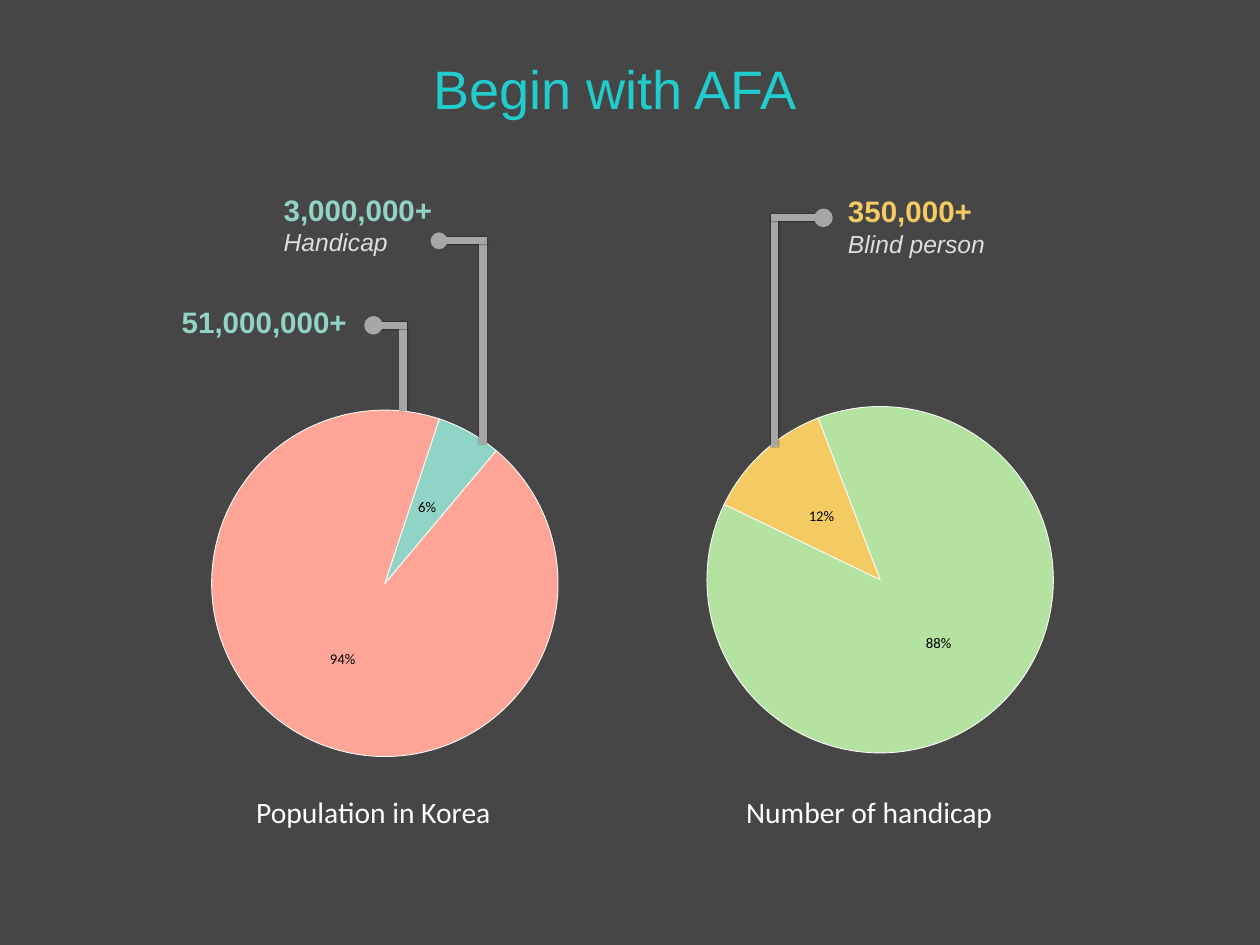
from lxml.etree import SubElement
from pptx import Presentation
from pptx.chart.data import CategoryChartData
from pptx.dml.color import RGBColor
from pptx.enum.chart import XL_CHART_TYPE, XL_LABEL_POSITION
from pptx.enum.shapes import MSO_CONNECTOR, MSO_SHAPE
from pptx.enum.text import PP_ALIGN
from pptx.oxml import parse_xml
from pptx.oxml.ns import nsdecls, qn
from pptx.util import Pt

# Content: lengths in points
SLIDE_SIZE = (1024, 768)
BACKGROUND, GREY, PIE_EDGE = "464646", "A7A7A7", "F9F9F9"
TEAL, YELLOW, PALE, WHITE = "91D3C5", "F4CB62", "DDDDDD", "FFFFFF"
PIE_SIZE, LEADER_WIDTH = 284.4, 6

# left, top, first slice angle, values, slice colours
PIES = [
    (170.6, 331.9, 40, (94, 6), ("FFA598", "90D4C5")),
    (573.1, 329, 339, (88, 12), ("B4E2A1", YELLOW)),
]
# stem x, stem bottom, arm y, dot centre x, dot diameter
LEADERS = [
    (629.3, 362.9, 177, 669.2, 15.1),
    (327.6, 334.1, 264.4, 303.5, 15.1),
    (392.4, 360.7, 195.7, 356.8, 13.7),
]
TITLE = ("Begin with AFA", 44, "Arial", "21CCCD", False, False)
HANDICAP = [("3,000,000+", 24, "Arial", TEAL, True, False),
            ("Handicap", 20, "Arial", PALE, False, True)]
BLIND = [("350,000+", 24, "Arial", YELLOW, True, False),
         ("Blind person", 20, "Arial", PALE, False, True)]
POPULATION = ("51,000,000+", 24, "Arial", TEAL, True, False)
# left, top, width, height, inset, alignment, lines
TEXTS = [
    (46.8, 39.6, 906.5, 63.4, 5, PP_ALIGN.CENTER, [TITLE]),
    (686.9, 154.8, 261.4, 56.9, 2.3, PP_ALIGN.LEFT, BLIND),
    (228.2, 153.4, 126, 56.9, 2.3, PP_ALIGN.LEFT, HANDICAP),
    (145.4, 244.8, 142, 33.1, 2.3, PP_ALIGN.LEFT, [POPULATION]),
    (205.9, 643, 214.6, 33.1, 2.3, PP_ALIGN.LEFT,
     [("Population in Korea", 24, "Calibri", WHITE, False, False)]),
    (604.1, 643, 221, 33.1, 2.3, PP_ALIGN.LEFT,
     [("Number of handicap", 24, "Calibri", WHITE, False, False)]),
]


def paint(fill, color):
    fill.solid()
    fill.fore_color.rgb = RGBColor.from_string(color)


def set_font(font, size, name, color, bold=False, italic=False):
    font.size, font.name = Pt(size), name
    font.bold, font.italic = bold, italic
    paint(font.fill, color)


def add_text(slide, left, top, width, height, inset, alignment, lines):
    box = slide.shapes.add_textbox(Pt(left), Pt(top), Pt(width), Pt(height))
    frame = box.text_frame
    frame.word_wrap = True
    frame.margin_left = frame.margin_right = Pt(inset)
    frame.margin_top = frame.margin_bottom = Pt(inset)
    frame.text = "\n".join(line[0] for line in lines)
    for paragraph, (_, *style) in zip(frame.paragraphs, lines):
        paragraph.alignment = alignment
        set_font(paragraph.font, *style)


def add_pie(slide, left, top, angle, values, colors):
    data = CategoryChartData()
    data.categories = ["1", "2"]
    data.add_series("Series 1", values)
    chart = slide.shapes.add_chart(XL_CHART_TYPE.PIE, Pt(left), Pt(top),
                                   Pt(PIE_SIZE), Pt(PIE_SIZE), data).chart
    chart.has_legend = chart.has_title = False
    set_font(chart.font, 10, "Arial", "000000")
    plot = chart.plots[0]
    plot.vary_by_categories = True

    # Slices
    for index, color in enumerate(colors):
        slice_format = plot.series[0].points[index].format
        paint(slice_format.fill, color)
        paint(slice_format.line.fill, PIE_EDGE)
        slice_format.line.width = Pt(0.75)

    # Percent labels
    labels = plot.series[0].data_labels
    labels.show_percentage, labels.show_value = True, False
    labels.number_format, labels.number_format_is_linked = "#,##0%", False
    labels.position = XL_LABEL_POSITION.CENTER
    set_font(labels.font, 12, "Calibri", "000000")

    # Start angle and plot area
    plot_area = chart.element.find(".//" + qn("c:plotArea"))
    pie = plot_area.find(qn("c:pieChart"))
    for old in pie.findall(qn("c:firstSliceAng")) + plot_area.findall(qn("c:layout")):
        old.getparent().remove(old)
    SubElement(pie, qn("c:firstSliceAng")).set("val", str(angle))
    layout = parse_xml(f"<c:layout {nsdecls('c')}><c:manualLayout/></c:layout>")
    plot_area.insert(0, layout)
    for tag, value in [("layoutTarget", "inner"), ("xMode", "edge"), ("yMode", "edge"),
                       ("x", 0.005), ("y", 0.005), ("w", 0.99), ("h", 0.99)]:
        SubElement(layout[0], qn("c:" + tag)).set("val", str(value))


def add_line(slide, *ends):
    line = slide.shapes.add_connector(MSO_CONNECTOR.STRAIGHT, *map(Pt, ends))
    paint(line.line.fill, GREY)
    line.line.width = Pt(LEADER_WIDTH)
    line.element.spPr.append(parse_xml(
        f'<a:effectLst {nsdecls("a")}><a:outerShdw blurRad="12700" dist="0" dir="5400000">'
        '<a:srgbClr val="000000"><a:alpha val="38000"/></a:srgbClr>'
        "</a:outerShdw></a:effectLst>"))


def add_leader(slide, stem_x, bottom, arm_y, dot_x, diameter):
    overlap = LEADER_WIDTH / 2 if stem_x > dot_x else -LEADER_WIDTH / 2
    add_line(slide, stem_x, bottom, stem_x, arm_y - 2)
    add_line(slide, stem_x + overlap, arm_y, dot_x, arm_y)
    dot = slide.shapes.add_shape(
        MSO_SHAPE.OVAL, Pt(dot_x - diameter / 2), Pt(arm_y - diameter / 2),
        Pt(diameter), Pt(diameter))
    dot.shadow.inherit = False
    paint(dot.fill, GREY)
    dot.line.fill.background()


def main():
    presentation = Presentation()
    presentation.slide_width, presentation.slide_height = map(Pt, SLIDE_SIZE)
    slide = presentation.slides.add_slide(presentation.slide_layouts[6])
    paint(slide.background.fill, BACKGROUND)
    for pie in PIES:
        add_pie(slide, *pie)
    for leader in LEADERS:
        add_leader(slide, *leader)
    for text in TEXTS:
        add_text(slide, *text)
    presentation.save("out.pptx")


if __name__ == "__main__":
    main()
